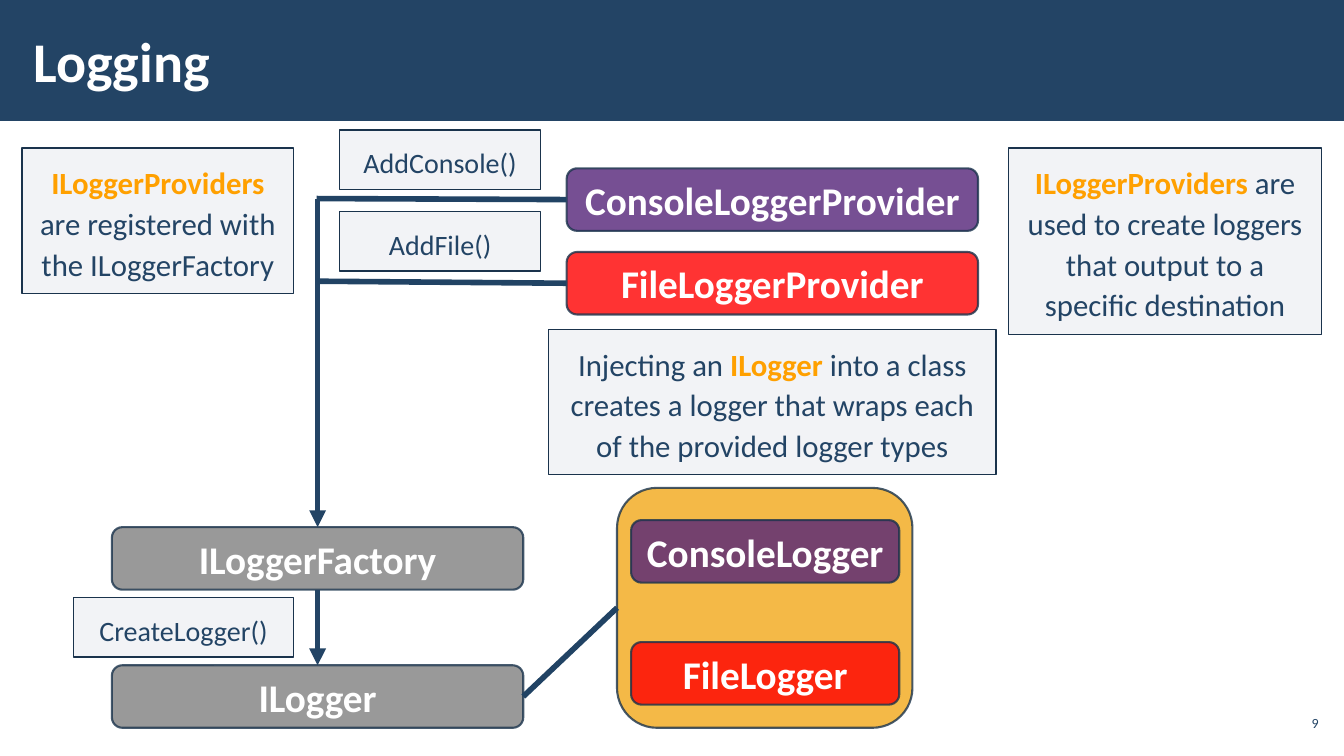
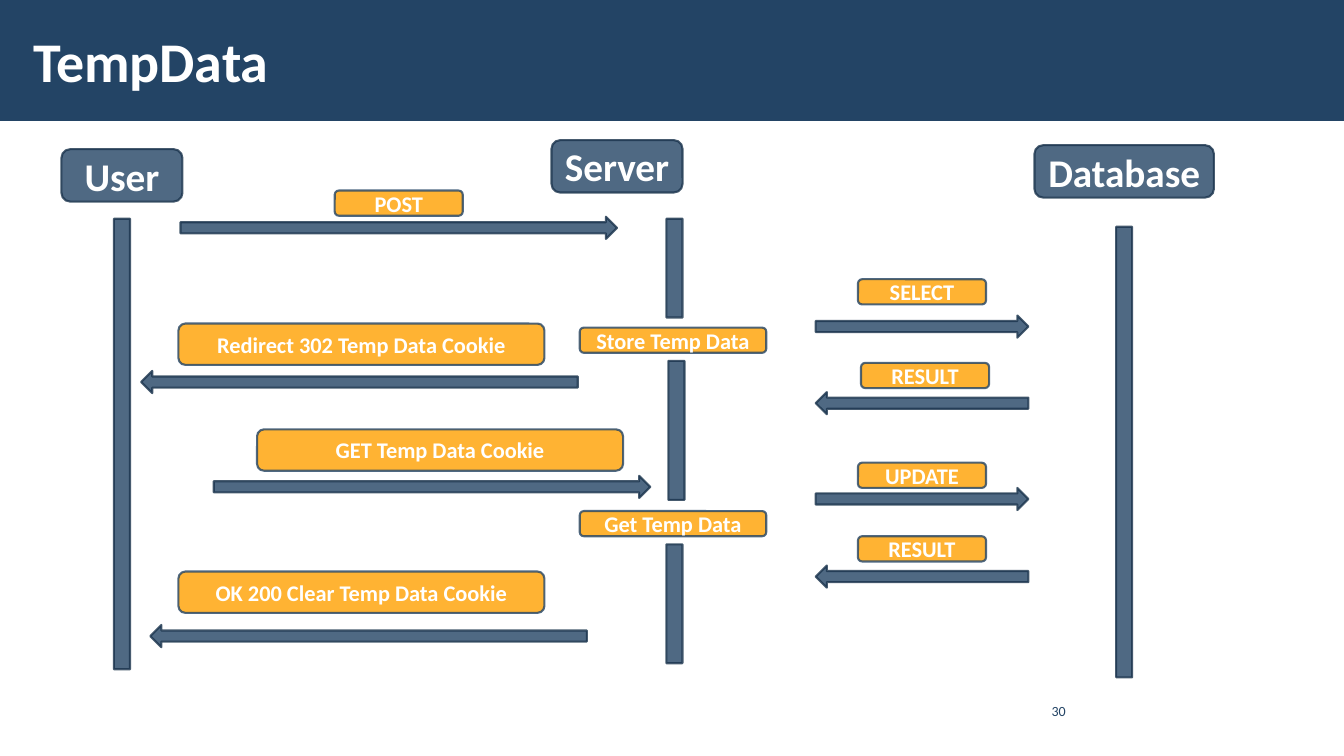
import pptx
import pptx.util
import pptx.dml.color
import pptx.enum.shapes
import pptx.enum.text
import pptx.oxml
import pptx.oxml.ns

Inches = pptx.util.Inches
Pt = pptx.util.Pt
SHAPE = pptx.enum.shapes.MSO_SHAPE
ANCHOR = pptx.enum.text.MSO_ANCHOR
ALIGN = pptx.enum.text.PP_ALIGN
AUTO = pptx.enum.text.MSO_AUTO_SIZE

COLORS = {
    "navy": "234465", "link": "214364", "edge": "1A334C", "white": "FFFFFF",
    "purple": "542478", "red": "FF0000", "gray": "808080", "gold": "F2A819",
    "orange": "FFA000", "mist": "ADB4C3",
}
TOP, LEFT, BOTTOM, RIGHT = range(4)


def rgb(name):
    return pptx.dml.color.RGBColor.from_string(COLORS[name])


def set_all(obj, values):
    for name, value in values.items():
        setattr(obj, name, value)


def margins(x, y):
    return {"margin_left": Inches(x), "margin_right": Inches(x),
            "margin_top": Inches(y), "margin_bottom": Inches(y)}


class Deck:
    FONT = "Calibri"

    def __init__(self):
        self.prs = pptx.Presentation()
        set_all(self.prs, {"slide_width": Inches(13.33), "slide_height": Inches(7.5)})
        self.s = None

    def paint(self, fill, color, alpha=100):
        fill.solid()
        fill.fore_color.rgb = rgb(color)
        if alpha < 100:
            clr = fill._xPr.find(".//" + pptx.oxml.ns.qn("a:srgbClr"))
            clr.append(pptx.oxml.parse_xml(
                f'<a:alpha {pptx.oxml.ns.nsdecls("a")} val="{alpha * 1000}"/>'))

    def put_text(self, sp, runs, size, align=ALIGN.CENTER, spacing=None, **frame):
        tf = sp.text_frame
        set_all(tf, {"word_wrap": True, "vertical_anchor": ANCHOR.MIDDLE, **frame})
        p = tf.paragraphs[0]
        set_all(p, {"alignment": align, "line_spacing": spacing})
        for text, color, bold in runs:
            r = p.add_run()
            r.text = text
            set_all(r.font, {"name": self.FONT, "size": Pt(size), "bold": bold})
            r.font.color.rgb = rgb(color)

    def shape(self, kind, box, fill, alpha=80, line="edge", width=1.5, line_alpha=80):
        sp = self.s.shapes.add_shape(kind, *map(Inches, box))
        sp.shadow.inherit = False
        self.paint(sp.fill, fill, alpha)
        if line:
            sp.line.width = Pt(width)
            self.paint(sp.line.fill, line, line_alpha)
        else:
            sp.line.fill.background()
        return sp

    def text(self, box, text, size, color, bold, align, inset):
        sp = self.s.shapes.add_textbox(*map(Inches, box))
        self.put_text(sp, [(text, color, bold)], size, align, **margins(*inset))

    def slide(self, title, number, number_at):
        self.s = self.prs.slides.add_slide(self.prs.slide_layouts[6])
        self.shape(SHAPE.RECTANGLE, (0, 0, 13.33, 1.2), "navy", 100, None)
        self.text((0.21, 0.11, 10.4, 0.97), title, 40, "white", True,
                  ALIGN.LEFT, (0.12, 0.04))
        self.text((*number_at, 0.47, 0.34), number, 10, "navy", False,
                  ALIGN.RIGHT, (0.04, 0.04))

    def node(self, box, fill, text=None, size=28, line="edge"):
        sp = self.shape(SHAPE.ROUNDED_RECTANGLE, box, fill, line=line)
        if text:
            self.put_text(sp, [(text, "white", True)], size)
        return sp

    def label(self, box, text):
        self.node(box, "orange", text, 16, "navy")

    def note(self, box, runs, size=22):
        sp = self.shape(SHAPE.RECTANGLE, box, "mist", 15, width=1, line_alpha=100)
        self.put_text(sp, runs, size, spacing=1.1, vertical_anchor=ANCHOR.TOP,
                      auto_size=AUTO.SHAPE_TO_FIT_TEXT, **margins(0.16, 0.12))

    def bar(self, x, y, height):
        self.shape(SHAPE.RECTANGLE, (x, y, 0.16, height), "navy")

    def arrow(self, x, y, width, back=False):
        sp = self.shape(SHAPE.RIGHT_ARROW, (x, y, width, 0.22), "navy")
        sp.rotation = 180 if back else 0

    def link(self, start, end, color="link", head=False):
        c = self.s.shapes.add_connector(
            pptx.enum.shapes.MSO_CONNECTOR.STRAIGHT,
            *[Inches(v) if isinstance(v, (int, float)) else 0 for v in (*start, *end)])
        for point, join in ((start, c.begin_connect), (end, c.end_connect)):
            if not isinstance(point[0], (int, float)):
                join(*point)
        c.line.width = Pt(4)
        c.line.color.rgb = rgb(color)
        ns = pptx.oxml.ns.nsdecls("a")
        props = c._element.spPr
        if head:
            props.find(pptx.oxml.ns.qn("a:ln")).append(
                pptx.oxml.parse_xml(f'<a:tailEnd {ns} type="triangle"/>'))
        props.append(pptx.oxml.parse_xml(f"<a:effectLst {ns}/>"))


def logging_slide(d):
    d.slide("Logging", "9", (12.65, 7))
    wide, narrow = (4.08, 0.62), (2.66, 0.62)
    console = d.node((5.62, 1.67, *wide), "purple", "ConsoleLoggerProvider")
    file = d.node((5.62, 2.5, *wide), "red", "FileLoggerProvider")
    factory = d.node((1.11, 5.23, *wide), "gray", "ILoggerFactory")
    logger = d.node((1.11, 6.6, *wide), "gray", "ILogger")
    wrapper = d.node((6.12, 4.84, 2.93, 2.38), "gold")
    d.node((6.26, 5.16, *narrow), "purple", "ConsoleLogger")
    d.node((6.26, 6.37, *narrow), "red", "FileLogger")

    d.note((10, 1.47, 3.11, 1.85), [
        ("ILoggerProviders", "orange", True),
        (" are used to create loggers that output to a specific destination", "navy", False)])
    d.note((0.22, 1.47, 2.69, 1.44), [
        ("ILoggerProviders ", "orange", True),
        ("are registered with the ILoggerFactory", "navy", False)])

    d.link((console, LEFT), (3.14, 1.97))
    d.link((3.15, 1.97), (factory, TOP), "navy", True)
    d.link((file, LEFT), (3.15, 2.79))
    d.link((factory, BOTTOM), (logger, TOP), "navy", True)
    d.link((wrapper, LEFT), (logger, RIGHT))

    d.note((5.44, 3.27, 4.44, 1.44), [
        ("Injecting an ", "navy", False),
        ("ILogger", "orange", True),
        (" into a class creates a logger that wraps each of the provided logger types",
         "navy", False)])
    for x, y, width, call in ((3.37, 1.29, 1.99, "AddConsole()"),
                              (3.37, 2.1, 1.99, "AddFile()"),
                              (0.73, 5.93, 2.18, "CreateLogger()")):
        d.note((x, y, width, 0.59), [(call, "navy", False)], 20)


def temp_data_slide(d):
    d.slide("TempData", "30", (10.14, 6.88))
    for x, y, height in ((1.13, 2.17, 4.47), (6.61, 2.17, 0.98), (11.07, 2.25, 4.47),
                         (6.63, 3.58, 1.38), (6.61, 5.4, 1.18)):
        d.bar(x, y, height)
    for x, y, back in ((1.79, 2.15, False), (1.4, 3.68, True),
                       (2.12, 4.72, False), (1.49, 6.2, True)):
        d.arrow(x, y, 4.33, back)
    for y, back in ((3.13, False), (3.89, True), (4.84, False), (5.61, True)):
        d.arrow(8.09, y, 2.11, back)
    for x, y, width, name in ((0.61, 1.48, 1.2, "User"), (5.47, 1.39, 1.3, "Server"),
                              (10.26, 1.44, 1.78, "Database")):
        d.node((x, y, width, 0.52), "navy", name)
    for x, y, text in ((3.32, 1.89, "POST"), (8.51, 2.77, "SELECT"), (8.54, 3.6, "RESULT"),
                       (8.51, 4.59, "UPDATE"), (8.51, 5.32, "RESULT")):
        d.label((x, y, 1.27, 0.25), text)
    for x, y, text in ((1.77, 3.21, "Redirect 302 Temp Data Cookie"),
                       (2.55, 4.26, "GET Temp Data Cookie"),
                       (1.77, 5.67, "OK 200 Clear Temp Data Cookie")):
        d.label((x, y, 3.63, 0.41), text)
    for y, text in ((3.25, "Store Temp Data"), (5.07, "Get Temp Data")):
        d.label((5.75, y, 1.85, 0.25), text)


def main():
    d = Deck()
    logging_slide(d)
    temp_data_slide(d)
    d.prs.save("out.pptx")


if __name__ == "__main__":
    main()
